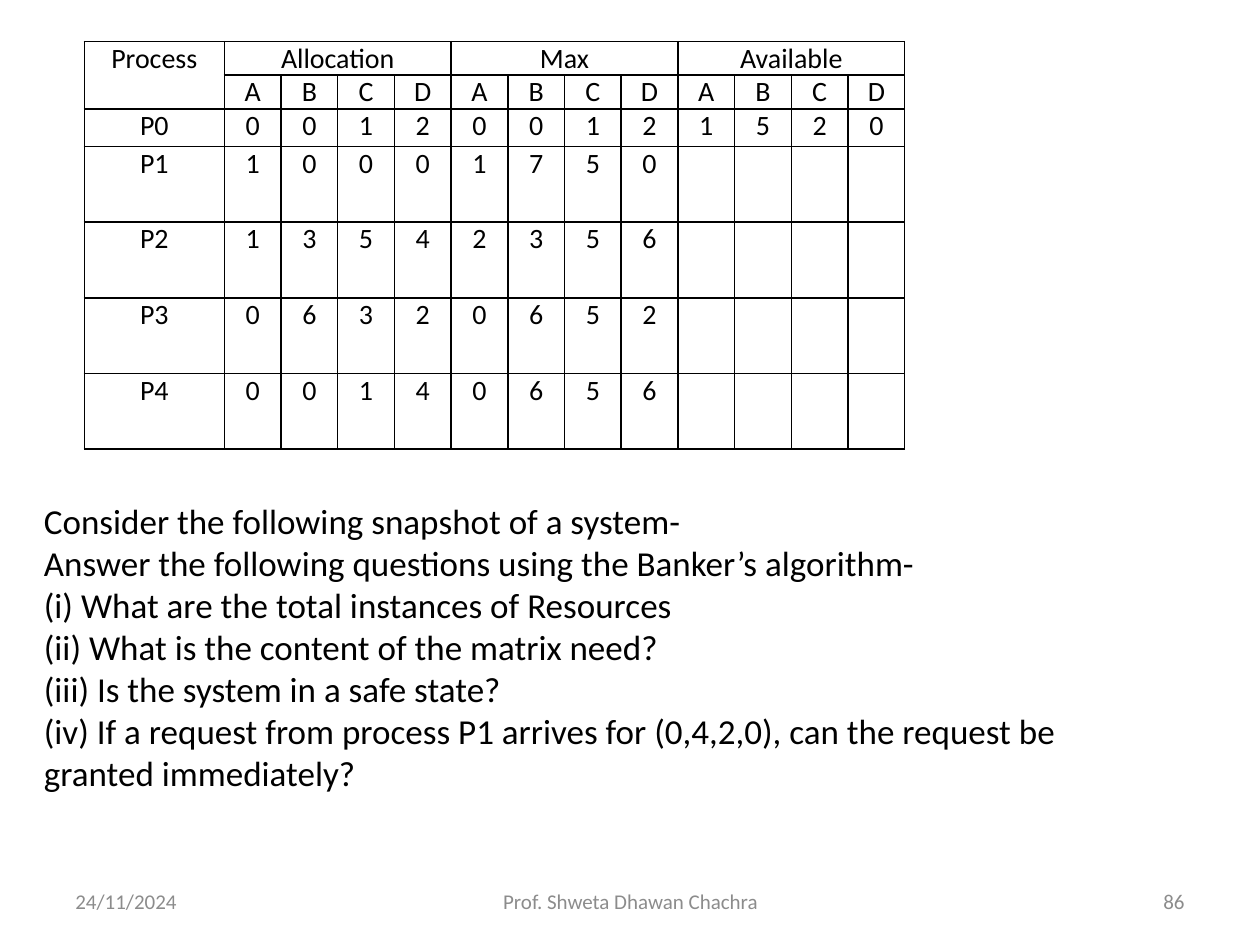
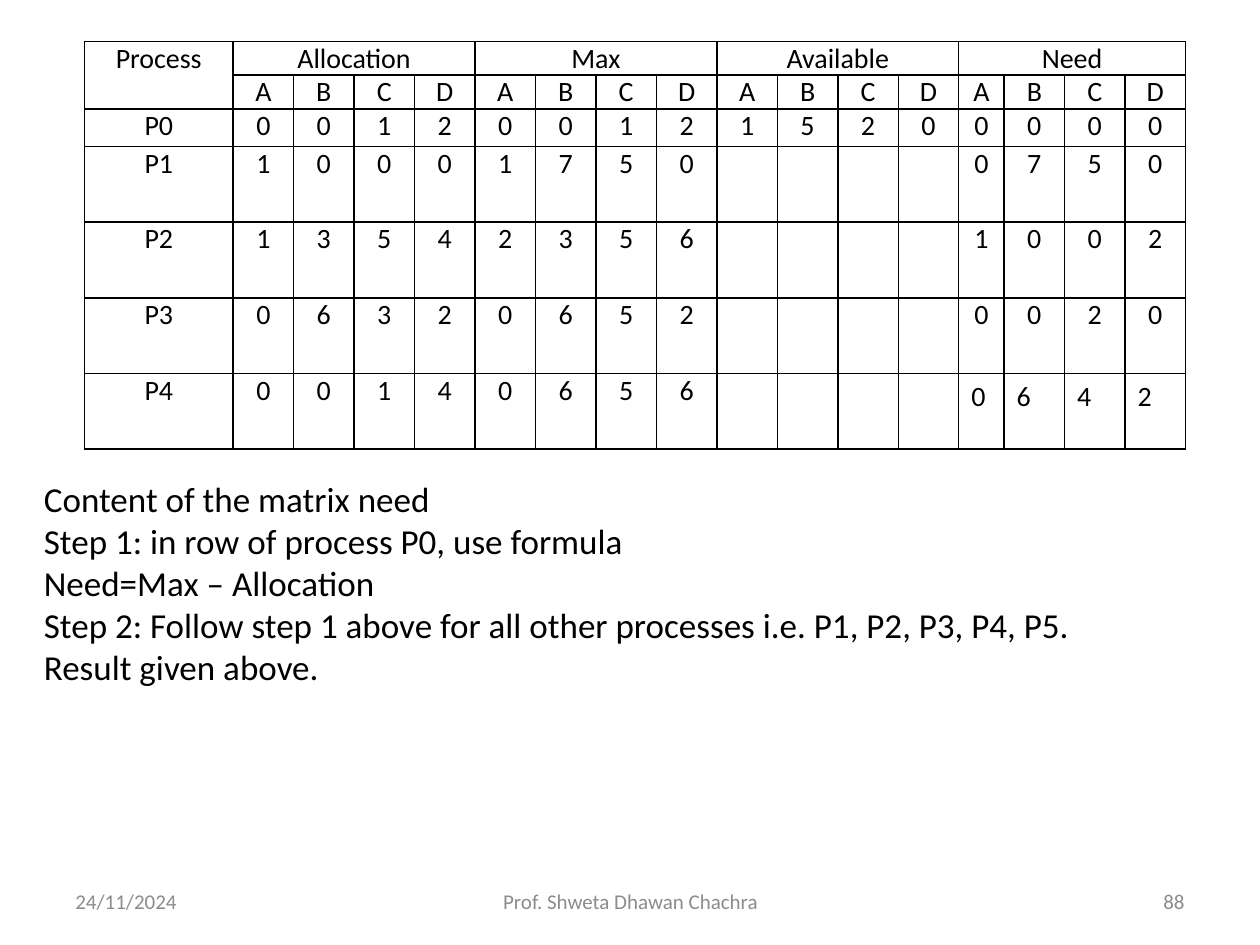
from lxml.etree import SubElement
from pptx import Presentation
from pptx.dml.color import RGBColor
from pptx.enum.text import MSO_ANCHOR, PP_ALIGN
from pptx.oxml.ns import qn
from pptx.util import Inches, Pt

FONT = "Calibri"
BLACK = "000000"
GREY = "8C8C8C"

# Snapshot of the system
RESOURCES = "ABCD"
ALLOCATION = [[0, 0, 1, 2], [1, 0, 0, 0], [1, 3, 5, 4], [0, 6, 3, 2], [0, 0, 1, 4]]
MAXIMUM = [[0, 0, 1, 2], [1, 7, 5, 0], [2, 3, 5, 6], [0, 6, 5, 2], [0, 6, 5, 6]]
AVAILABLE = [[1, 5, 2, 0]] + [[""] * 4] * 4
NEED = [[m - a for m, a in zip(*pair)] for pair in zip(MAXIMUM, ALLOCATION)]
GROUPS = {"Allocation": ALLOCATION, "Max": MAXIMUM, "Available": AVAILABLE}

ROW_HEIGHTS = [0.2, 0.2, 0.3] + [0.6] * 4

QUESTIONS = [
    "Consider the following snapshot of a system-",
    "Answer the following questions using the Banker’s algorithm-",
    "(i) What are the total instances of Resources",
    "(ii) What is the content of the matrix need?",
    "(iii) Is the system in a safe state?",
    "(iv) If a request from process P1 arrives for (0,4,2,0), "
    "can the request be granted immediately?",
]
NEED_STEPS = [
    "Content of the matrix need",
    "Step 1: in row of process P0, use formula",
    "Need=Max – Allocation",
    "Step 2: Follow step 1 above for all other processes i.e. P1, P2, P3, P4, P5.",
    "Result given above.",
]


def rgb(color):
    return RGBColor.from_string(color)


def style_text(tf, size, color, align):
    for p in tf.paragraphs:
        p.alignment = align
        for r in p.runs:
            r.font.name = FONT
            r.font.size = Pt(size)
            r.font.bold = False
            r.font.color.rgb = rgb(color)


def add_text(s, box, text, size, color, align=PP_ALIGN.LEFT):
    tf = s.shapes.add_textbox(*map(Inches, box)).text_frame
    tf.word_wrap = True
    tf.vertical_anchor = MSO_ANCHOR.MIDDLE
    tf.text = text
    style_text(tf, size, color, align)
    return tf


def set_margins(cell, side, end):
    cell.margin_left = cell.margin_right = Inches(side)
    cell.margin_top = cell.margin_bottom = Inches(end)


def add_borders(cell):
    tc_pr = cell._tc.get_or_add_tcPr()
    for i, edge in enumerate(("a:lnL", "a:lnR", "a:lnT", "a:lnB")):
        ln = SubElement(tc_pr, qn(edge), w=str(Pt(1)))
        fill = SubElement(ln, qn("a:solidFill"))
        SubElement(fill, qn("a:srgbClr"), val=BLACK)
        tc_pr.insert(i, ln)


def add_process_table(s, left, top, groups, widths):
    # Two header rows, then one row per process
    names = [name for group in groups for name in (group, "", "", "")]
    rows = [["Process"] + names, [""] + list(RESOURCES) * len(groups)]
    for i in range(len(ALLOCATION)):
        rows.append([f"P{i}"] + [v for matrix in groups.values() for v in matrix[i]])

    frame = s.shapes.add_table(len(rows), len(widths), Inches(left), Inches(top),
                               Inches(sum(widths)), Inches(sum(ROW_HEIGHTS)))
    table = frame.table
    table.first_row = table.horz_banding = False
    for column, width in zip(table.columns, widths):
        column.width = Inches(width)
    for row, height in zip(table.rows, ROW_HEIGHTS):
        row.height = Inches(height)

    for i, row in enumerate(rows):
        for j, value in enumerate(row):
            cell = table.cell(i, j)
            cell.text = str(value)
            cell.fill.background()
            set_margins(cell, 0.07, 0)
            style_text(cell.text_frame, 16, BLACK, PP_ALIGN.CENTER)
            add_borders(cell)

    # Merge the headings
    table.cell(0, 0).merge(table.cell(1, 0))
    for j in range(1, len(widths), 4):
        table.cell(0, j).merge(table.cell(0, j + 3))
    return table


def add_footer(s, number):
    add_text(s, (0.5, 6.95, 2.33, 0.4), "24/11/2024", 12, GREY)
    add_text(s, (3.42, 6.95, 3.17, 0.4), "Prof. Shweta Dhawan Chachra", 12, GREY,
             PP_ALIGN.CENTER)
    add_text(s, (7.17, 6.95, 2.33, 0.4), str(number), 12, GREY, PP_ALIGN.RIGHT)


def add_slide(prs, number, text_top, lines, groups, widths):
    s = prs.slides.add_slide(prs.slide_layouts[6])
    tf = add_text(s, (0.25, text_top, 9, 1.25), "\n".join(lines), 20, BLACK)
    table = add_process_table(s, 0.67, 0.33, groups, widths)
    add_footer(s, number)
    return tf, table


def main():
    prs = Presentation()
    prs.slide_width, prs.slide_height = Inches(10), Inches(7.5)

    # Questions: text sits slightly above the middle of its box
    tf, _ = add_slide(prs, 86, 4.67, QUESTIONS, GROUPS, [1.11] + [0.45] * 12)
    tf.margin_bottom = Inches(0.38)

    # Need matrix: text sits slightly below the middle of its box
    tf, table = add_slide(prs, 88, 3.83, NEED_STEPS, {**GROUPS, "Need": NEED},
                          [1.18] + [0.48] * 12 + [0.36] + [0.48] * 3)
    tf.margin_top = Inches(0.38)

    # The last need row is left-aligned with wider margins
    for j in range(13, 17):
        cell = table.cell(6, j)
        set_margins(cell, 0.1, 0.05)
        cell.text_frame.paragraphs[0].alignment = PP_ALIGN.LEFT

    prs.save("out.pptx")


if __name__ == "__main__":
    main()
